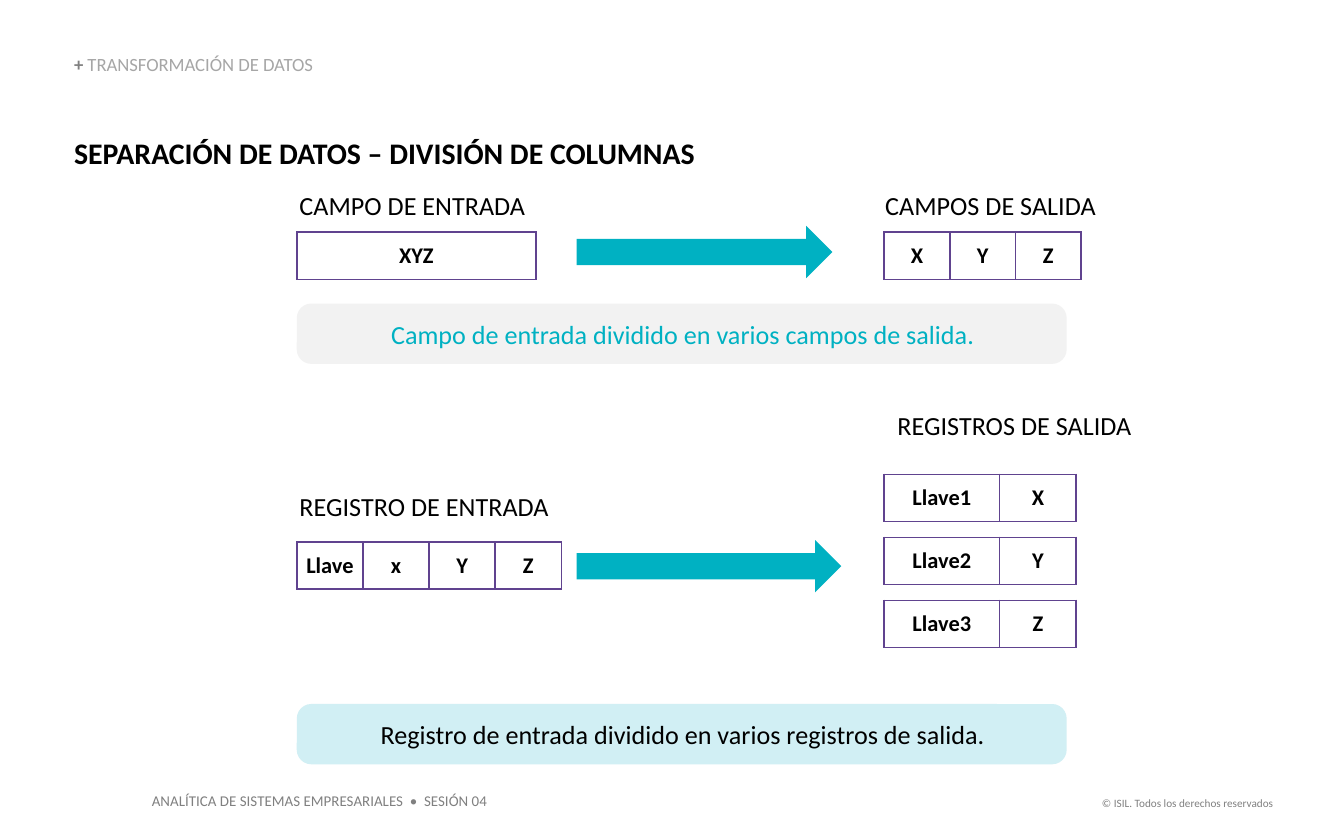
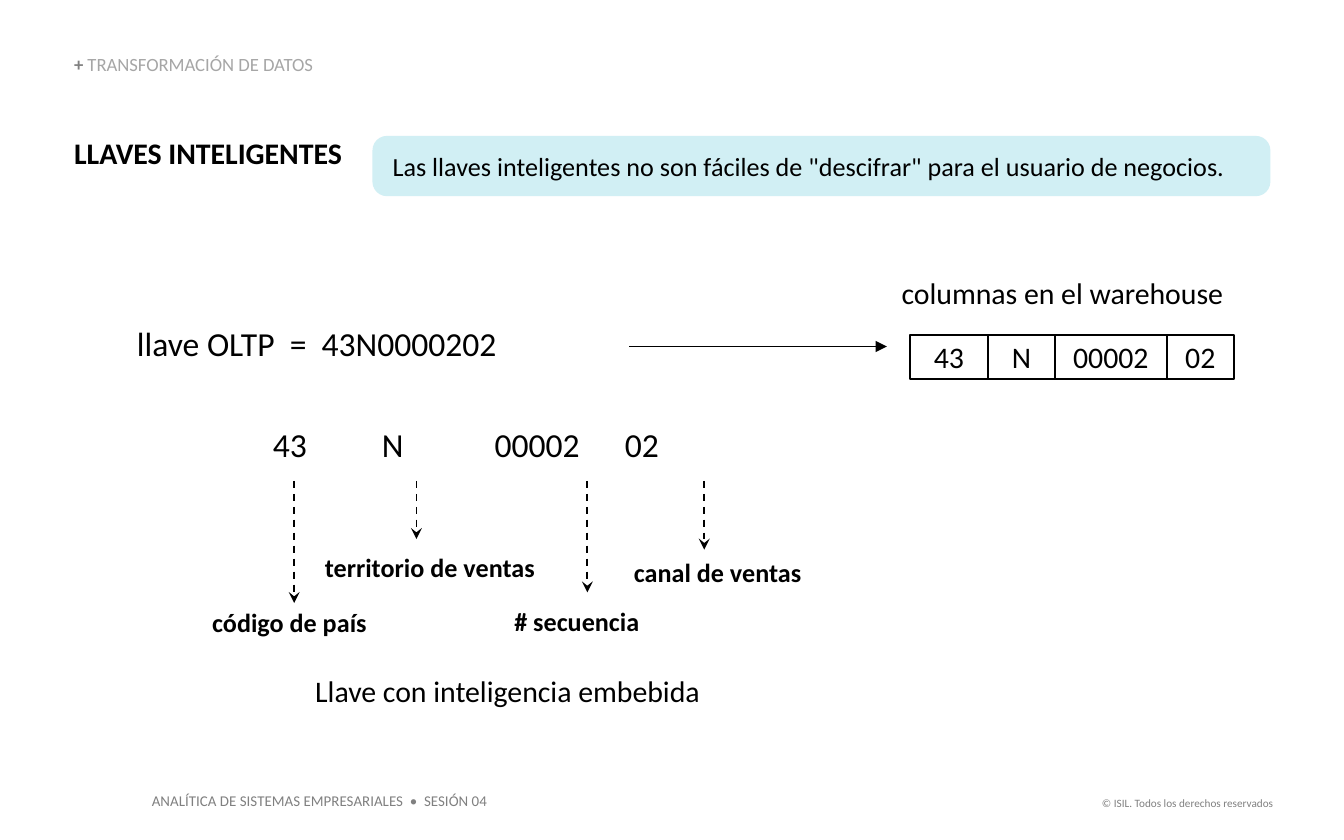
from itertools import accumulate

from lxml import etree
from pptx import Presentation
from pptx.dml.color import RGBColor
from pptx.enum.dml import MSO_LINE
from pptx.enum.shapes import MSO_CONNECTOR, MSO_SHAPE
from pptx.enum.text import MSO_ANCHOR, MSO_AUTO_SIZE, PP_ALIGN
from pptx.oxml import parse_xml
from pptx.oxml.ns import nsdecls, qn
from pptx.util import Cm, Pt

FONT = "Calibri"
BLACK = RGBColor(0x00, 0x00, 0x00)
WHITE = RGBColor(0xFF, 0xFF, 0xFF)
GRAY = RGBColor(0x80, 0x80, 0x80)
SILVER = RGBColor(0xA6, 0xA6, 0xA6)
PALE_GRAY = RGBColor(0xF2, 0xF2, 0xF2)
TEAL = RGBColor(0x00, 0xB1, 0xC2)
PALE_TEAL = RGBColor(0xD1, 0xEF, 0xF4)
PURPLE = RGBColor(0x60, 0x43, 0x8F)

MARGIN = 1.4
ROW_H = 0.89
INPUT_X, OUTPUT_X = 5.61, 16.71


def add_run(p, text, size, color=BLACK, bold=False):
    r = p.add_run()
    r.text = text
    font = r.font
    font.name, font.size, font.bold = FONT, Pt(size), bold
    font.color.rgb = color


def set_frame(tf, anchor=MSO_ANCHOR.TOP, insets=(0.25, 0.13, 0.25, 0.13), wrap=True):
    tf.auto_size = MSO_AUTO_SIZE.NONE
    tf.word_wrap = wrap
    tf.vertical_anchor = anchor
    tf.margin_left, tf.margin_top, tf.margin_right, tf.margin_bottom = map(Cm, insets)


def add_label(slide, box, text, size, color=BLACK, bold=False, align=PP_ALIGN.LEFT,
              spacing=None, **frame):
    """Add a text box holding one paragraph and return its shape."""
    sp = slide.shapes.add_textbox(*map(Cm, box))
    set_frame(sp.text_frame, **frame)
    p = sp.text_frame.paragraphs[0]
    p.alignment = align
    p.line_spacing = spacing
    add_run(p, text, size, color, bold)
    return sp


def add_title(slide, text, width):
    sp = slide.shapes.title
    sp.left, sp.top, sp.width, sp.height = map(Cm, (MARGIN, 2.55, width, 0.69))
    set_frame(sp.text_frame, insets=(0, 0, 0, 0))
    p = sp.text_frame.paragraphs[0]
    p.alignment = PP_ALIGN.LEFT
    add_run(p, text, 16, bold=True)


def add_section(slide):
    sp = add_label(slide, (MARGIN, 1.05, 6.76, 0.38), "+ ", 10, GRAY, bold=True,
                   spacing=0.9, anchor=MSO_ANCHOR.BOTTOM, insets=(0, 0, 0, 0))
    add_run(sp.text_frame.paragraphs[0], "TRANSFORMACIÓN DE DATOS", 10, SILVER)


def add_footer(slide):
    add_label(slide, (2.62, 14.83, 6.86, 0.61),
              "ANALÍTICA DE SISTEMAS EMPRESARIALES  •  SESIÓN 04", 8, GRAY, wrap=False)
    add_label(slide, (20.5, 14.92, 3.81, 0.51),
              "© ISIL. Todos los derechos reservados", 6, GRAY,
              align=PP_ALIGN.RIGHT, wrap=False)


def new_slide(prs, title, title_width):
    """Add a slide with the shared section line, title and footer."""
    slide = prs.slides.add_slide(prs.slide_layouts[5])
    add_footer(slide)
    add_section(slide)
    add_title(slide, title, title_width)
    return slide


def add_box(slide, kind, box, fill=None, line=None):
    sp = slide.shapes.add_shape(kind, *map(Cm, box))
    sp.shadow.inherit = False
    if fill is None:
        sp.fill.background()
    else:
        sp.fill.solid()
        sp.fill.fore_color.rgb = fill
    if line is None:
        sp.line.fill.background()
    else:
        sp.line.color.rgb = line
        sp.line.width = Pt(1)
    return sp


def add_note(slide, box, text, fill=PALE_TEAL, color=BLACK, align=PP_ALIGN.CENTER):
    sp = add_box(slide, MSO_SHAPE.ROUNDED_RECTANGLE, box, fill)
    sp.adjustments[0] = 0.24
    set_frame(sp.text_frame, MSO_ANCHOR.MIDDLE, (0.3, 0.13, 0.25, 0.13))
    p = sp.text_frame.paragraphs[0]
    p.alignment = align
    add_run(p, text, 14, color)


def add_cell_borders(cell, color):
    tc_pr = cell._tc.get_or_add_tcPr()
    for i, side in enumerate("LRTB"):
        tc_pr.insert(i, parse_xml(
            f'<a:ln{side} {nsdecls("a")} w="12700"><a:solidFill>'
            f'<a:srgbClr val="{color}"/></a:solidFill></a:ln{side}>'))


def add_record(slide, x, y, widths, values):
    """Add a one-row table of field values."""
    box = map(Cm, (x, y, sum(widths), ROW_H))
    table = slide.shapes.add_table(1, len(values), *box).table
    table.first_row = table.horz_banding = False
    for column, width, cell, value in zip(table.columns, widths, table.iter_cells(), values):
        column.width = Cm(width)
        cell.fill.solid()
        cell.fill.fore_color.rgb = WHITE
        add_cell_borders(cell, PURPLE)
        cell.vertical_anchor = MSO_ANCHOR.MIDDLE
        cell.margin_left = cell.margin_right = Cm(0.1)
        cell.margin_top = cell.margin_bottom = Cm(0.08)
        p = cell.text_frame.paragraphs[0]
        p.alignment = PP_ALIGN.CENTER
        add_run(p, value, 12, bold=True)


def add_arrow(slide, start, end, head, dash=None):
    line = slide.shapes.add_connector(MSO_CONNECTOR.STRAIGHT, *map(Cm, start + end))
    line.line.color.rgb = BLACK
    line.line.width = Pt(1)
    if dash:
        line.line.dash_style = dash
    etree.SubElement(line.line._get_or_add_ln(), qn("a:tailEnd"), type=head)
    etree.SubElement(line._element.spPr, qn("a:effectLst"))


def add_tabs(p, positions):
    tabs = etree.SubElement(p._p.get_or_add_pPr(), qn("a:tabLst"))
    for pos in positions:
        etree.SubElement(tabs, qn("a:tab"), pos=str(Cm(pos)), algn="l")


def build_column_split(prs):
    slide = new_slide(prs, "SEPARACIÓN DE DATOS – DIVISIÓN DE COLUMNAS", 12.42)
    for x, y, width, text in (
        (5.41, 3.45, 5.13, "CAMPO DE ENTRADA"),
        (16.48, 3.45, 5.74, "CAMPOS DE SALIDA"),
        (5.41, 9.15, 5.51, "REGISTRO DE ENTRADA"),
        (OUTPUT_X, 7.61, 5.51, "REGISTROS DE SALIDA"),
    ):
        add_label(slide, (x, y, width, 0.86), text, 14)
    for y, width in ((4.27, 4.83), (10.21, 5)):
        add_box(slide, MSO_SHAPE.RIGHT_ARROW, (10.9, y, width, 0.99), TEAL)

    add_record(slide, INPUT_X, 4.39, [4.52], ["XYZ"])
    add_record(slide, OUTPUT_X, 4.39, [1.24] * 3, "XYZ")
    add_record(slide, INPUT_X, 10.25, [1.25] * 4, ["Llave", "x", "Y", "Z"])
    for i, value in enumerate("XYZ"):
        add_record(slide, OUTPUT_X, 8.97 + 1.19 * i, [2.18, 1.45], [f"Llave{i + 1}", value])

    add_note(slide, (INPUT_X, 5.74, 14.55, 1.14),
             "Campo de entrada dividido en varios campos de salida.", PALE_GRAY, TEAL)
    add_note(slide, (INPUT_X, 13.31, 14.55, 1.14),
             "Registro de entrada dividido en varios registros de salida.")


def build_smart_keys(prs):
    slide = new_slide(prs, "LLAVES INTELIGENTES", 5.5)
    add_note(slide, (7.04, 2.57, 16.97, 1.14),
             'Las llaves inteligentes no son fáciles de "descifrar" para el usuario de negocios.',
             align=PP_ALIGN.LEFT)

    parts = ["43", "N", "00002", "02"]
    add_label(slide, (2.34, 6.07, 8.15, 0.94), "llave OLTP  =  43N0000202", 18, spacing=0.9)
    key = add_label(slide, (4.6, 7.98, 9.7, 0.94), "\t".join(parts), 18, spacing=0.9,
                    insets=(0.56, 0.13, 0.25, 0.13))
    add_tabs(key.text_frame.paragraphs[0], (2.06, 4.19, 6.65))

    for arrow_x, arrow_end, x, y, width, meaning in (
        (5.56, 11.4, 3.76, 11.41, 3.91, "código de país"),
        (7.87, 10.19, 5.89, 10.36, 5.16, "territorio de ventas"),
        (11.1, 11.2, 9.47, 11.38, 3.2, "# secuencia"),
        (13.31, 10.39, 11.73, 10.46, 4.11, "canal de ventas"),
    ):
        add_arrow(slide, (arrow_x, 9.09), (arrow_x, arrow_end), "stealth", MSO_LINE.DASH)
        add_label(slide, (x, y, width, 0.79), meaning, 14, bold=True, spacing=0.9)

    add_arrow(slide, (11.89, 6.55), (16.76, 6.55), "triangle")
    widths = [1.47, 1.27, 2.11, 1.27]
    for x, width, part in zip(accumulate(widths, initial=17.2), widths, parts):
        sp = add_box(slide, MSO_SHAPE.RECTANGLE, (x, 6.33, width, 0.84), line=BLACK)
        set_frame(sp.text_frame, MSO_ANCHOR.MIDDLE)
        p = sp.text_frame.paragraphs[0]
        p.alignment = PP_ALIGN.CENTER
        add_run(p, part, 16)

    for box, caption in (
        ((16.51, 5.06, 7.14, 0.94), "columnas en el warehouse"),
        ((5.33, 12.58, 8.53, 0.94), "Llave con inteligencia embebida"),
    ):
        add_label(slide, box, caption, 16, align=PP_ALIGN.CENTER, anchor=MSO_ANCHOR.MIDDLE)


def main():
    prs = Presentation()
    prs.slide_width, prs.slide_height = Cm(25.4), Cm(15.88)
    build_column_split(prs)
    build_smart_keys(prs)
    prs.save("out.pptx")


if __name__ == "__main__":
    main()
